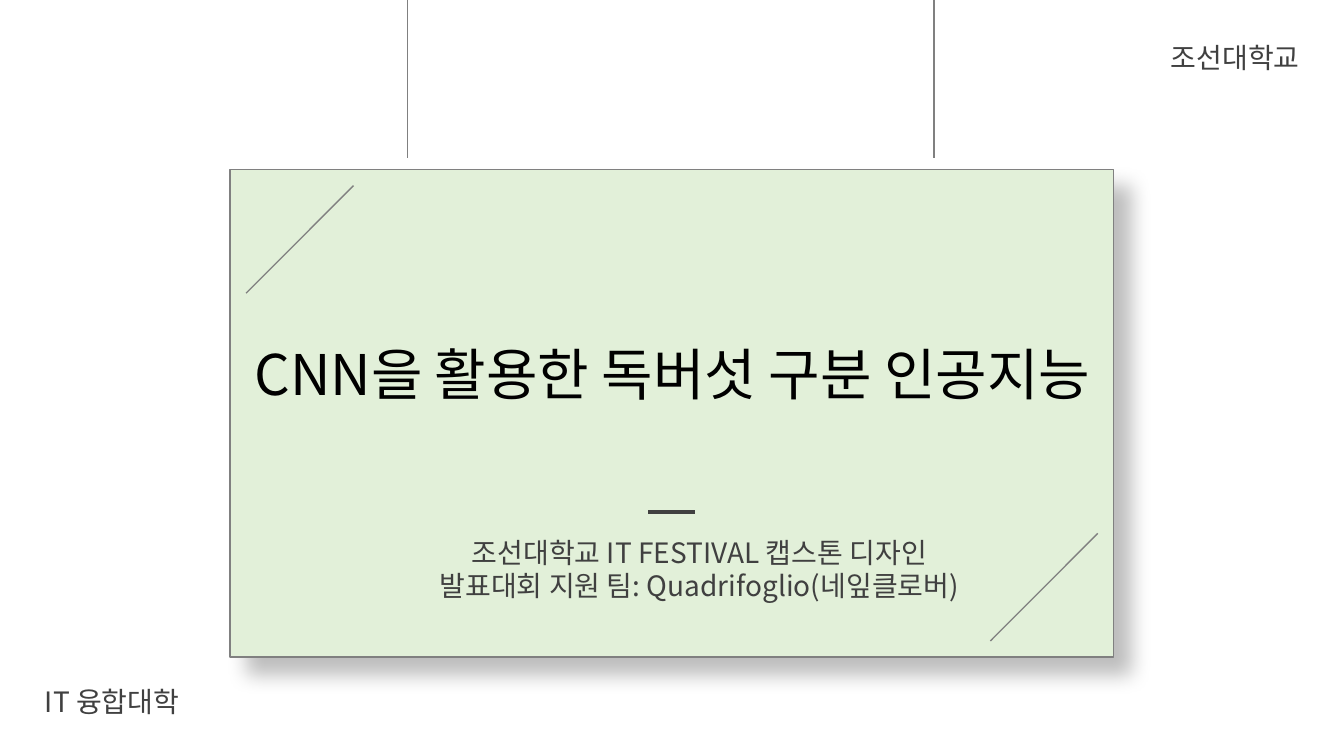
from dataclasses import dataclass

from lxml.etree import SubElement
from pptx import Presentation
from pptx.dml.color import RGBColor
from pptx.enum.shapes import MSO_CONNECTOR, MSO_SHAPE
from pptx.enum.text import MSO_ANCHOR, MSO_AUTO_SIZE, PP_ALIGN
from pptx.oxml.ns import qn
from pptx.util import Inches, Pt

COLUMNS, ROWS = 160, 90


@dataclass(frozen=True)
class Theme:
    font: str = "Noto Sans CJK KR"
    card: RGBColor = RGBColor(0xE2, 0xF0, 0xD9)
    outline: RGBColor = RGBColor(0x80, 0x80, 0x80)
    body: RGBColor = RGBColor(0x40, 0x40, 0x40)
    heading: RGBColor = RGBColor(0, 0, 0)
    heading_size: int = 40
    body_size: int = 20


class SlideBuilder:
    """Places elements on a grid of COLUMNS by ROWS."""

    def __init__(self, presentation, theme):
        self.theme = theme
        self.slide = presentation.slides.add_slide(presentation.slide_layouts[5])
        self.column = presentation.slide_width / COLUMNS
        self.row = presentation.slide_height / ROWS

    def place(self, x, y):
        return round(x * self.column), round(y * self.row)

    def card(self, left, top, width, height):
        shape = self.slide.shapes.add_shape(
            MSO_SHAPE.RECTANGLE, *self.place(left, top), *self.place(width, height))
        shape.fill.solid()
        shape.fill.fore_color.rgb = self.theme.card
        shape.line.color.rgb = self.theme.outline
        shape.line.width = Pt(1)
        shape.shadow.inherit = False
        effects = shape._element.spPr.find(qn("a:effectLst"))
        shadow = SubElement(
            effects, qn("a:outerShdw"), blurRad=str(Pt(15)), dist=str(Pt(17)),
            dir=str(45 * 60000), algn="tl", rotWithShape="0")
        color = SubElement(shadow, qn("a:srgbClr"), val="000000")
        SubElement(color, qn("a:alpha"), val="25000")

    def line(self, start, end, color=None, weight=1):
        connector = self.slide.shapes.add_connector(
            MSO_CONNECTOR.STRAIGHT, *self.place(*start), *self.place(*end))
        connector.line.color.rgb = color or self.theme.outline
        connector.line.width = Pt(weight)
        SubElement(connector._element.spPr, qn("a:effectLst"))

    def title(self, text, left, top, width, height):
        shape = self.slide.shapes.title
        shape.left, shape.top = self.place(left, top)
        shape.width, shape.height = self.place(width, height)
        self.fill_text(shape, [text], self.theme.heading_size, self.theme.heading)
        tree = self.slide.shapes._spTree
        tree.append(shape._element)  # brings the title in front of the card

    def text(self, lines, left, top, width, height):
        shape = self.slide.shapes.add_textbox(
            *self.place(left, top), *self.place(width, height))
        self.fill_text(shape, lines, self.theme.body_size, self.theme.body)

    def fill_text(self, shape, lines, size, color):
        frame = shape.text_frame
        frame.text = "\n".join(lines)
        frame.word_wrap = True
        frame.auto_size = MSO_AUTO_SIZE.SHAPE_TO_FIT_TEXT
        frame.vertical_anchor = MSO_ANCHOR.TOP
        for paragraph in frame.paragraphs:
            paragraph.alignment = PP_ALIGN.CENTER
            paragraph.font.size = Pt(size)
            paragraph.font.color.rgb = color
            paragraph.font.name = self.theme.font
            defaults = paragraph._p.pPr.find(qn("a:defRPr"))
            SubElement(defaults, qn("a:ea"), typeface=self.theme.font)


def main():
    presentation = Presentation()
    presentation.slide_width, presentation.slide_height = Inches(13.33), Inches(7.5)
    theme = Theme()
    builder = SlideBuilder(presentation, theme)

    left, top, width, height = 27.4, 20.2, 105.2, 58
    right, bottom = left + width, top + height
    margin, slant = 1.9, 12.8
    builder.card(left, top, width, height)
    builder.line((77.2, 61), (82.8, 61), theme.body, 3)
    builder.text(["조선대학교 IT FESTIVAL 캡스톤 디자인",
                  "발표대회 지원 팀: Quadrifoglio(네잎클로버)"], 50.3, 63.1, 65.9, 9.2)
    for x, y in ((left + margin, top + margin),
                 (right - margin - slant, bottom - margin - slant)):
        builder.line((x + slant, y), (x, y + slant))
    for hanger in (48.5, 111.2):
        builder.line((hanger, 0), (hanger, 18.8))
    builder.title("CNN을 활용한 독버섯 구분 인공지능", 28.2, 39.8, 103.7, 9.2)
    builder.text(["조선대학교"], 136.6, 4.2, 20.9, 5.3)
    builder.text(["IT 융합대학"], 2.9, 80.9, 20.9, 5.3)

    presentation.save("out.pptx")


if __name__ == "__main__":
    main()
